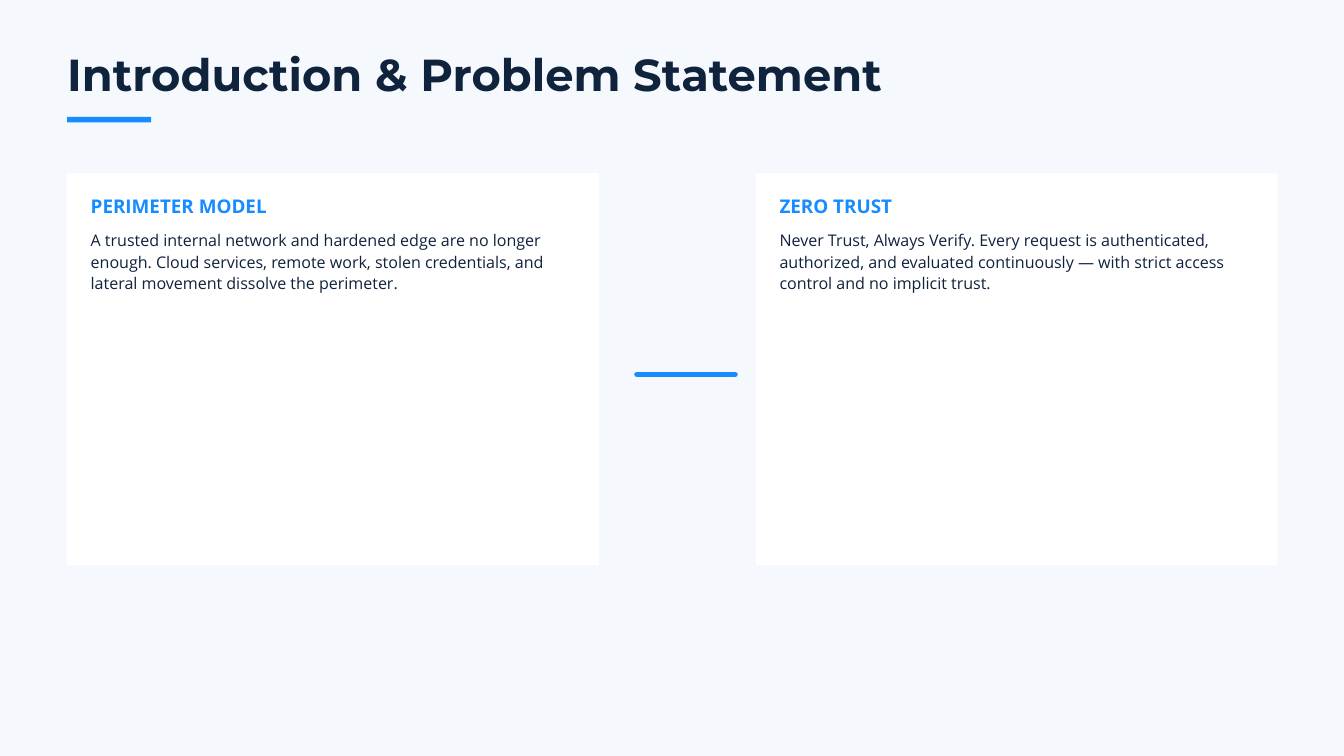
"""Build the introduction slide with two cards contrasting security models."""
from dataclasses import dataclass

from lxml import etree as et
from pptx import Presentation
from pptx import util as u
from pptx.dml import color as c
from pptx.enum import shapes as s
from pptx.enum import text as t
from pptx.oxml import ns

NAVY = c.RGBColor(0x10, 0x23, 0x3D)
BLUE = c.RGBColor(0x16, 0x8C, 0xFF)
WHITE = c.RGBColor(0xFF, 0xFF, 0xFF)
PALE = c.RGBColor(0xF5, 0xF8, 0xFC)
LEFT = 72
TOP = 185.2
HIGH = 420
PAD = 25.2
ROUND = 1.2


@dataclass(frozen=True)
class Style:
    font: str
    size: float
    lead: float
    color: c.RGBColor
    bold: bool = False


@dataclass(frozen=True)
class Card:
    left: float
    width: float
    head: str
    body: str


TITLE = Style("Montserrat", 48, 51.8, NAVY, True)
HEAD = Style("Open Sans", 20.2, 27.3, BLUE, True)
BODY = Style("Open Sans", 17.2, 23.3, NAVY)

CARDS = (
    Card(LEFT, 570, "PERIMETER MODEL",
         "A trusted internal network and hardened edge are no longer enough. "
         "Cloud services, remote work, stolen credentials, and lateral "
         "movement dissolve the perimeter."),
    Card(810, 558, "ZERO TRUST",
         "Never Trust, Always Verify. Every request is authenticated, "
         "authorized, and evaluated continuously — with strict access "
         "control and no implicit trust."),
)


def add_text(slide, words: str, style: Style, left: float, top: float,
             width: float, height: float) -> None:
    box = slide.shapes.add_textbox(u.Pt(left), u.Pt(top), u.Pt(width), u.Pt(height))
    frame = box.text_frame
    frame.word_wrap = True
    frame.auto_size = t.MSO_AUTO_SIZE.SHAPE_TO_FIT_TEXT
    frame.margin_left = frame.margin_right = 0
    frame.margin_top = frame.margin_bottom = 0
    para = frame.paragraphs[0]
    para.text = words
    para.line_spacing = u.Pt(style.lead)
    para.font.name = style.font
    para.font.size = u.Pt(style.size)
    para.font.bold = style.bold
    para.font.color.rgb = style.color


def add_block(slide, kind: s.MSO_SHAPE, fill: c.RGBColor, left: float,
              top: float, width: float, height: float):
    block = slide.shapes.add_shape(
        kind, u.Pt(left), u.Pt(top), u.Pt(width), u.Pt(height))
    block.shadow.inherit = False
    block.fill.solid()
    block.fill.fore_color.rgb = fill
    block.line.fill.background()
    return block


def add_card(slide, card: Card) -> None:
    panel = add_block(slide, s.MSO_SHAPE.ROUNDED_RECTANGLE, WHITE,
                      card.left, TOP, card.width, HIGH)
    panel.adjustments[0] = ROUND / HIGH
    left, width = card.left + PAD, card.width - 2 * PAD
    add_text(slide, card.head, HEAD, left, TOP + 20, width, 26)
    add_text(slide, card.body, BODY, left, TOP + 59, width, 68.4)


def add_dash(slide, start: float, end: float, level: float) -> None:
    dash = slide.shapes.add_connector(
        s.MSO_CONNECTOR.STRAIGHT, u.Pt(start), u.Pt(level), u.Pt(end), u.Pt(level))
    dash.line.color.rgb = BLUE
    dash.line.width = u.Pt(6)
    props = dash._element.spPr
    props.find(ns.qn("a:ln")).set("cap", "rnd")
    et.SubElement(props, ns.qn("a:effectLst"))


def main() -> None:
    deck = Presentation()
    deck.slide_width, deck.slide_height = u.Pt(1440), u.Pt(810)
    slide = deck.slides.add_slide(deck.slide_layouts[6])
    slide.background.fill.solid()
    slide.background.fill.fore_color.rgb = PALE
    add_text(slide, "Introduction & Problem Statement", TITLE, LEFT, 56, 1124.6, 52.6)
    add_block(slide, s.MSO_SHAPE.RECTANGLE, BLUE, LEFT, 125.2, 90, 6)
    for card in CARDS:
        add_card(slide, card)
    add_dash(slide, 682.5, 787.5, 401.2)
    deck.save("out.pptx")


if __name__ == "__main__":
    main()
